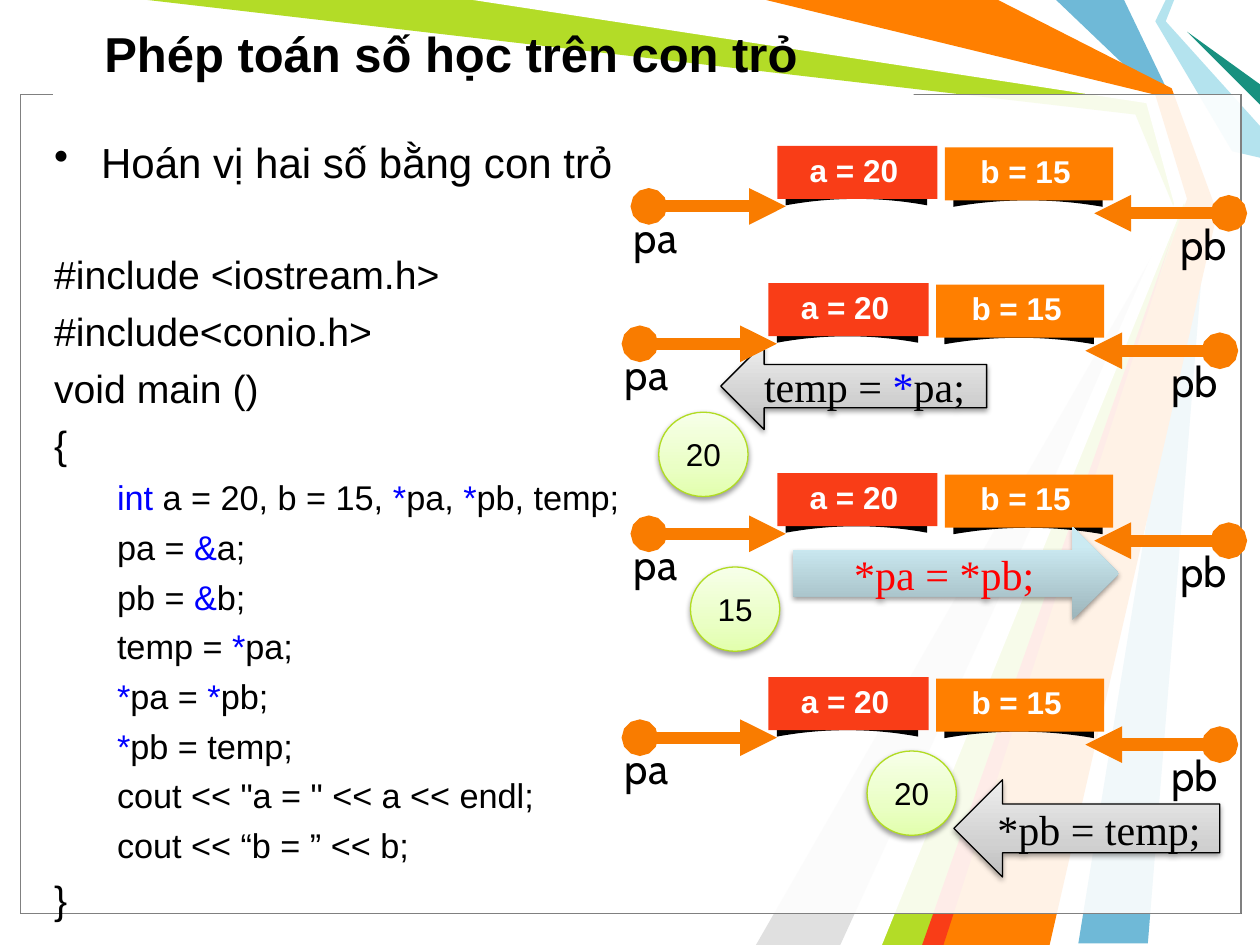
from pptx import Presentation
from pptx.dml.color import RGBColor
from pptx.enum.shapes import MSO_CONNECTOR, MSO_SHAPE
from pptx.enum.text import MSO_ANCHOR, PP_ALIGN
from pptx.oxml import parse_xml
from pptx.oxml.ns import nsdecls, qn
from pptx.oxml.xmlchemy import OxmlElement
from pptx.util import Cm, Pt

BLACK = RGBColor(0, 0, 0)
WHITE = RGBColor(255, 255, 255)
BLUE = RGBColor(0, 0, 255)
CRIMSON = RGBColor(255, 0, 0)
GREY = RGBColor(0x80, 0x80, 0x80)
SILVER = RGBColor(0xE0, 0xE0, 0xE0)
RED = RGBColor(0xF9, 0x3D, 0x17)
ORANGE = RGBColor(0xFF, 0x7F, 0x00)
AMBER = RGBColor(0xF9, 0x7C, 0x00)
LIME = RGBColor(0xB3, 0xDC, 0x27)
EDGE = RGBColor(0xB1, 0xDC, 0x22)
SKY = RGBColor(0x6F, 0xB9, 0xD7)
ICE = RGBColor(0xB4, 0xE3, 0xEE)
TEAL = RGBColor(0x18, 0x91, 0x80)

# Gradient stops: (percent, colour), from the bottom up
STEEL = [(0, RGBColor(0xBD, 0xBD, 0xBD)), (35, RGBColor(0xD1, 0xD1, 0xD1)),
         (100, RGBColor(0xEE, 0xEE, 0xEE))]
MINT = [(0, RGBColor(0xE2, 0xFF, 0xAD)), (35, RGBColor(0xEA, 0xFF, 0xC5)),
        (100, RGBColor(0xF7, 0xFF, 0xE9))]
FROST = [(0, RGBColor(0x9C, 0xB4, 0xBA)), (80, RGBColor(0xCB, 0xEA, 0xF2)),
         (100, RGBColor(0xCB, 0xEC, 0xF4))]

# Backdrop rays: colour and corner points in cm
RAYS = [
    (SKY, [(22.66, 0), (23.6, 1.96), (24.33, 4.24), (23.14, 19.02),
           (21.74, 19.02), (24.13, 4.24), (23.29, 1.91), (21.29, 0)]),
    (LIME, [(2.97, 0), (9.73, 0), (23.22, 1.98), (23.93, 4.29),
            (18.85, 19.05), (17.58, 19.05), (23.75, 4.39), (22.89, 2.31)]),
    (SILVER, [(16.94, 19.05), (23.55, 4.6), (15.24, 19.05)]),
    (WHITE, [(9.53, 0), (23.11, 2.08), (23.67, 4.11), (17.15, 19.05),
             (17.78, 19.05), (23.9, 4.01), (23.29, 1.91), (15.24, 0)]),
    (ICE, [(23.5, 0), (23.29, 0.43), (24.84, 3.05), (25.4, 3.18),
           (25.4, 2.54), (23.5, 0.43), (23.67, 0)]),
    (TEAL, [(25.4, 2.11), (23.93, 0.64), (25.4, 1.7)]),
    (ORANGE, [(15.44, 0), (20.12, 0), (23.62, 1.78), (24.54, 4.29),
              (21.16, 19.05), (18.62, 19.05), (23.93, 4.01), (23.29, 1.91)]),
    (RED, [(18.59, 19.05), (23.67, 4.65), (19.02, 19.05)]),
]

# Code lines: (level, text); every second piece between bars is blue
CODE = [
    (0, "#include <iostream.h>"), (0, "#include<conio.h>"),
    (0, "void main ()"), (0, "{"),
    (1, "|int |a = 20, b = 15, |*|pa, |*|pb, temp;"),
    (1, "pa = |&|a;"), (1, "pb = |&|b;"), (1, "temp = |*|pa;"),
    (1, "|*|pa = |*|pb;"), (1, "|*|pb = temp;"),
    (1, 'cout << "a = " << a << endl;'), (1, "cout << “b = ” << b;"),
    (0, "}"),
]


def write(para, text, size, font="Arial", color=BLACK, bold=False, align=None):
    para.alignment = align
    for i, part in enumerate(text.split("|")):
        if part:
            run = para.add_run()
            run.text = part
            run.font.name, run.font.size, run.font.bold = font, Pt(size), bold
            run.font.color.rgb = BLUE if i % 2 else color


def indent(para, left, hang):
    props = para._p.get_or_add_pPr()
    props.set("marL", str(Cm(left)))
    props.set("indent", str(-Cm(hang)))
    return props


def text_box(shapes, x, y, w, h):
    frame = shapes.add_textbox(Cm(x), Cm(y), Cm(w), Cm(h)).text_frame
    frame.word_wrap = True
    return frame


def paint(shape, fill, line=None):
    shape.shadow.inherit = False
    shape.fill.solid()
    shape.fill.fore_color.rgb = fill
    if line is None:
        shape.line.fill.background()
    else:
        shape.line.color.rgb, shape.line.width = line, Pt(0.75)


def polygon(shapes, points, fill):
    first, *rest = [(Cm(x), Cm(y)) for x, y in points]
    builder = shapes.build_freeform(*first)
    builder.add_line_segments(rest)
    paint(builder.convert_to_shape(), fill)


def box(shapes, x, y, w, h, fill, line=None):
    shape = shapes.add_shape(MSO_SHAPE.RECTANGLE, Cm(x), Cm(y), Cm(w), Cm(h))
    paint(shape, fill, line)
    return shape


def backdrop(shapes):
    for color, points in RAYS:
        polygon(shapes, points, color)
    # Two translucent panels, then the gap in their top border
    for line in (BLACK, GREY):
        panel = box(shapes, 0.41, 1.91, 24.61, 16.51, WHITE, line)
        alpha = OxmlElement("a:alpha")
        alpha.set("val", "69000")
        panel.element.spPr.find(qn("a:solidFill"))[0].append(alpha)
    box(shapes, 1.07, 1.88, 17.35, 0.43, WHITE)


def pointer(shapes, x1, x2, y):
    link = shapes.add_connector(MSO_CONNECTOR.STRAIGHT, Cm(x1), Cm(y), Cm(x2), Cm(y))
    link.line.color.rgb, link.line.width = AMBER, Pt(7)
    for tag, kind in (("a:headEnd", "oval"), ("a:tailEnd", "triangle")):
        end = OxmlElement(tag)
        end.set("type", kind)
        link.line._get_or_add_ln().append(end)
    link.element.spPr.append(OxmlElement("a:effectLst"))


def plate(shapes, x, y, w, fill, text):
    # Curved shade below, with parabolic underside
    left, wide, top, steps = x + 0.17, w - 0.38, y + 0.67, 20
    curve = [(left + wide * i / steps, top + 0.4 + 0.13 * (2 * i / steps - 1) ** 2)
             for i in range(steps + 1)]
    roof = [(left + wide, top + 0.14), (left + wide / 2, top), (left, top + 0.14)]
    polygon(shapes, curve + roof, BLACK)
    box(shapes, x, y, w, 1.07, fill)
    frame = text_box(shapes, x + 0.16, y - 0.03, w - 0.46, 1.02)
    write(frame.paragraphs[0], text, 18, color=WHITE, bold=True, align=PP_ALIGN.CENTER)


def memory(slide, x, y):
    # One state: two variables and the pointers to them
    shapes = slide.shapes.add_group_shape().shapes
    plate(shapes, x, y, 3.23, RED, "a = 20")
    plate(shapes, x + 3.38, y + 0.03, 3.39, ORANGE, "b = 15")
    for name, tail, tip, drop, left in (("pa", -2.59, 0.17, 1.22, -3.14),
                                        ("pb", 9.1, 6.39, 1.36, 7.87)):
        pointer(shapes, x + tail, x + tip, y + drop)
        frame = text_box(shapes, x + left, y + drop - 0.02, 1.65, 1.27)
        write(frame.paragraphs[0], name, 24, "Cabin")


def glossy(slide, kind, x, y, w, h, stops, line, text, size, font, color=BLACK):
    shape = slide.shapes.add_shape(kind, Cm(x), Cm(y), Cm(w), Cm(h))
    paint(shape, WHITE, line)
    # Gradient running upwards
    shape.fill.gradient()
    shape.fill.gradient_angle = 90
    bands = shape.element.spPr.find(".//" + qn("a:gsLst"))
    bands.clear()
    for pos, tone in stops:
        bands.append(parse_xml(f'<a:gs {nsdecls("a")} pos="{pos * 1000}">'
                               f'<a:srgbClr val="{tone}"/></a:gs>'))
    # Soft shadow below
    shape.element.spPr.find(qn("a:effectLst")).append(parse_xml(
        f'<a:outerShdw {nsdecls("a")} blurRad="40000" dist="20000" dir="5400000" '
        'rotWithShape="0"><a:srgbClr val="000000"><a:alpha val="38000"/>'
        '</a:srgbClr></a:outerShdw>'))
    shape.text_frame.vertical_anchor = MSO_ANCHOR.MIDDLE
    write(shape.text_frame.paragraphs[0], text, size, font, color, align=PP_ALIGN.CENTER)


def value(slide, x, y, text):
    glossy(slide, MSO_SHAPE.OVAL, x, y, 1.8, 1.7, MINT, EDGE, text, 18, "Arial")


def step(slide, kind, x, y, w, h, stops, line, text, color=BLACK):
    glossy(slide, kind, x, y, w, h, stops, line, text, 24, "Times New Roman", color)


def heading(slide):
    title = slide.shapes.title
    title.left, title.top, title.width, title.height = Cm(1.85), Cm(0.2), Cm(23.14), Cm(1.75)
    title.text_frame.vertical_anchor = MSO_ANCHOR.MIDDLE
    write(title.text_frame.paragraphs[0], "Phép toán số học trên con trỏ", 28,
          bold=True, align=PP_ALIGN.LEFT)
    title.element.getparent().append(title.element)  # above the backdrop


def listing(slide):
    para = text_box(slide.shapes, 0.84, 2.62, 23.83, 1.3).paragraphs[0]
    bullet = OxmlElement("a:buChar")
    bullet.set("char", "•")
    indent(para, 0.95, 0.95).append(bullet)
    write(para, "Hoán vị hai số bằng con trỏ", 24, align=PP_ALIGN.JUSTIFY)
    frame = text_box(slide.shapes, 0.84, 4.92, 12.67, 12.7)
    for i, (level, text) in enumerate(CODE):
        para = frame.add_paragraph() if i else frame.paragraphs[0]
        size = 19.6 if level else 22.4
        indent(para, *((2.06, 0.79) if level else (0.95, 0.95)))
        para.space_before = Pt(size / 4 if i else 0)
        write(para, text, size)


def main():
    deck = Presentation()
    deck.slide_width, deck.slide_height = Cm(25.4), Cm(19.05)
    slide = deck.slides.add_slide(deck.slide_layouts[5])
    backdrop(slide.shapes)
    heading(slide)
    listing(slide)
    # Swap, state by state
    memory(slide, 15.67, 2.94)
    step(slide, MSO_SHAPE.LEFT_ARROW, 14.53, 6.91, 5.36, 1.75, STEEL, BLACK, "temp = |*|pa;")
    value(slide, 13.28, 8.31, "20")
    memory(slide, 15.49, 5.71)
    memory(slide, 15.67, 9.54)
    value(slide, 13.92, 11.43, "15")
    step(slide, MSO_SHAPE.RIGHT_ARROW, 15.98, 10.62, 6.58, 1.88, FROST, None,
         "*pa = *pb;", CRIMSON)
    step(slide, MSO_SHAPE.LEFT_ARROW, 19.23, 15.72, 5.36, 1.96, STEEL, BLACK, "*pb = temp;")
    value(slide, 17.48, 15.14, "20")
    memory(slide, 15.49, 13.65)
    deck.save("out.pptx")


if __name__ == "__main__":
    main()
